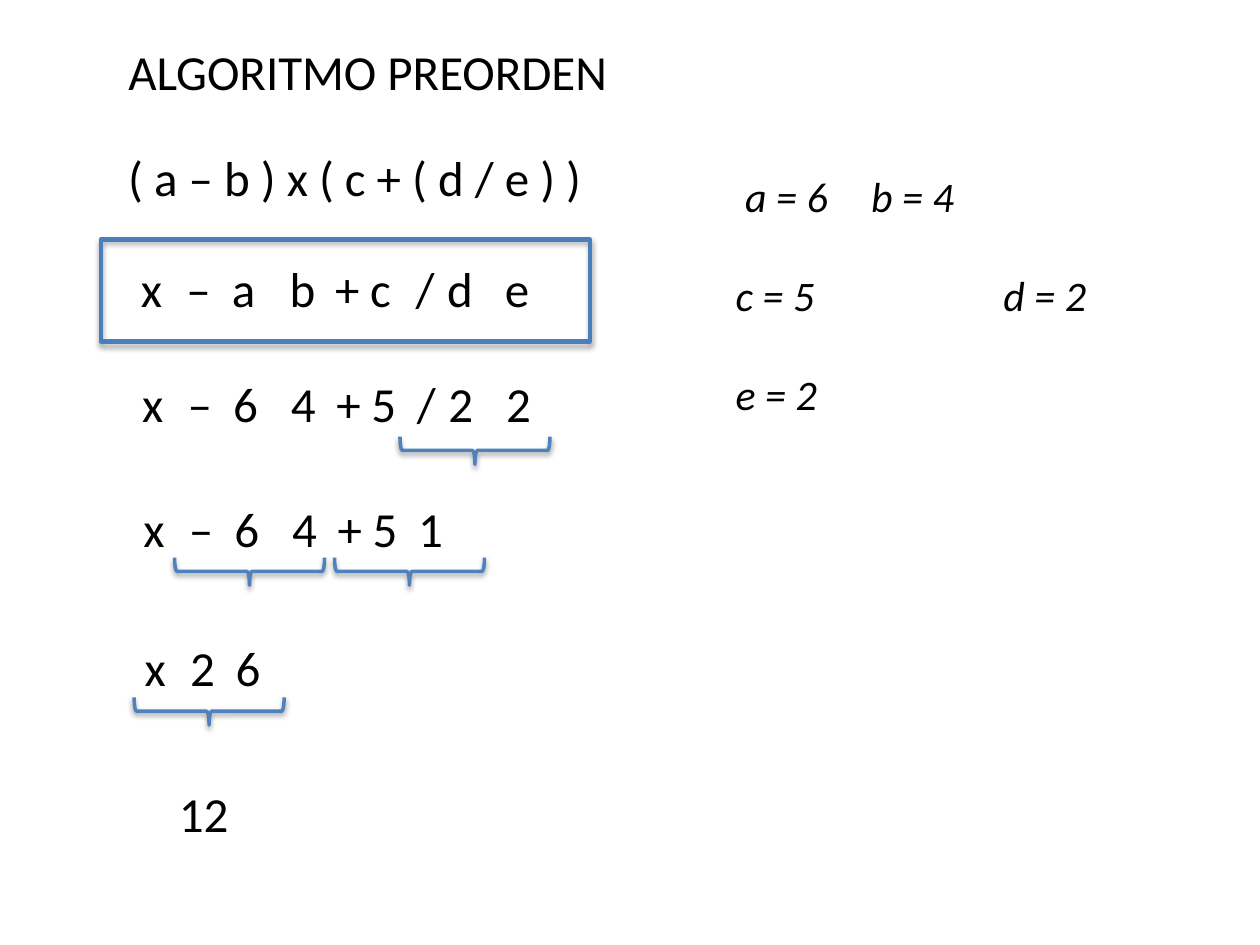
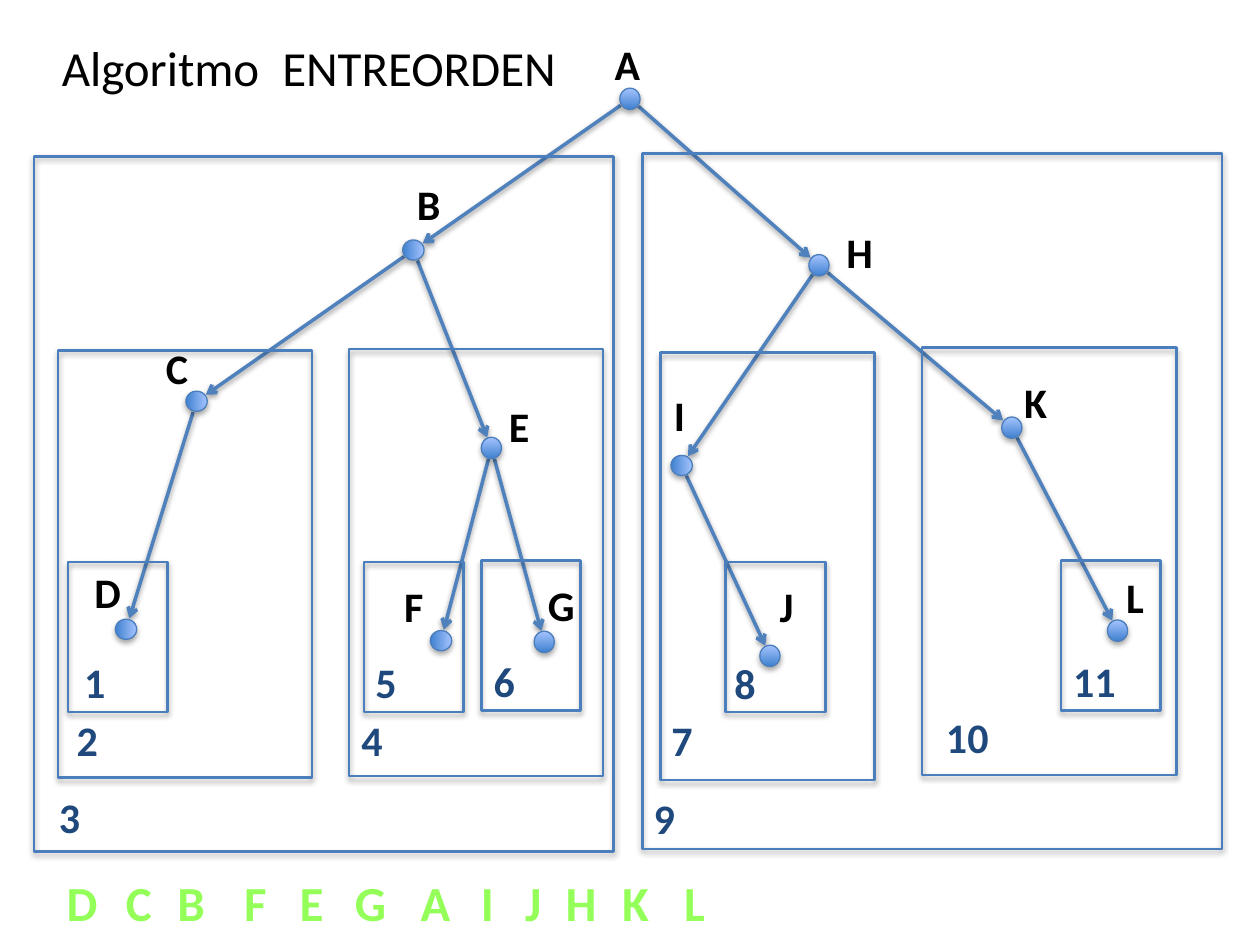
from math import hypot

from lxml.etree import SubElement
from pptx import Presentation
from pptx.dml.color import RGBColor
from pptx.enum.shapes import MSO_CONNECTOR, MSO_SHAPE
from pptx.enum.text import MSO_ANCHOR, MSO_AUTO_SIZE, PP_ALIGN
from pptx.oxml.ns import qn
from pptx.util import Pt

FONT = "Calibri"
BLACK = RGBColor(0x00, 0x00, 0x00)
NAVY = RGBColor(0x1F, 0x49, 0x7D)
GREEN = RGBColor(0x94, 0xFF, 0x58)
LINE_BLUE = RGBColor(0x4F, 0x81, 0xBD)
EDGE_BLUE = RGBColor(0x4B, 0x7E, 0xBC)
NODE_DARK = RGBColor(0x3F, 0x80, 0xCE)
NODE_LIGHT = RGBColor(0xA4, 0xC4, 0xFF)

LARGE, MEDIUM = 28, 24
LARGE_HEIGHT = 41
LABEL_SIZE = (48.2, 36)

# Preorder slide: each step is text, left, top, indent
INFIX = ("( a – b ) x ( c + ( d / e ) )", 66.2, 80.6)
STEPS = [
    ("x\t–\ta\tb\t+\tc\t/\td\te", 73.4, 144, 0),
    ("x\t–\t6\t4\t+\t5\t/\t2\t2", 74.2, 210.2, 0),
    ("x\t–\t6\t4\t+\t5\t1", 74.9, 281.5, 0),
    ("x\t2\t6", 75.6, 360.7, 0),
    ("12", 75.6, 444.2, 19.5),
]
STEP_TABS = [26, 52, 85, 111, 131, 157, 175, 208]
PREFIX_FRAME = (57.6, 136.8, 279.4, 58.3)
BRACE_CENTERS = [(271.4, 257.4), (142.6, 326.5), (234, 326.5), (119.5, 406.4)]
BRACE_SIZE = (15.8, 85.7)
# Text, indent, tab stop
VALUES = [("a = 6\tb = 4", 5.4, 139.6), ("c = 5\td = 2", 0, 153), ("e = 2", 0, 153)]
VALUES_AREA = (413.3, 93.6, 227.5, 152.6)

# Inorder slide: centre, label position, turned
NODES = {
    "A": ((360, 56.5), (344.2, 18.7), False),
    "B": ((236.2, 142.9), (231.1, 98.6), True),
    "C": ((112.3, 229.3), (87.8, 192.2), True),
    "D": ((72, 359.6), (46.8, 320.4), True),
    "E": ((280.8, 256), (283.7, 225.4), False),
    "F": ((252, 366.1), (223.9, 328.3), True),
    "G": ((311, 366.8), (306, 327.6), False),
    "H": ((468, 151.6), (476.6, 126), False),
    "I": ((389.5, 266), (378, 218.9), True),
    "J": ((440, 374.8), (438.5, 328.3), False),
    "K": ((578.2, 244.4), (578.2, 211.7), False),
    "L": ((638.6, 360.4), (636.5, 323.3), False),
}
BRANCHES = ["AB", "AH", "BC", "BE", "CD", "EF", "EG", "HI", "HK", "IJ", "KL"]
NODE_SIZE = (11.5, 12.2)
NODE_RADIUS = 6.5

LEAF, BRANCH, HALF = (56.9, 85.7), (145.2, 244.1), (331.2, 397.4)
# Position, size, number position
SUBTREES = {
    "1": ((38.9, 321.1), LEAF, (41, 371.5)),
    "2": ((33.1, 200.2), BRANCH, (36.7, 404.6)),
    "3": ((19.4, 89.3), HALF, (26.6, 448.6)),
    "4": ((199.4, 199.4), BRANCH, (199.4, 404.6)),
    "5": ((208.1, 321.1), LEAF, (207.4, 371.5)),
    "6": ((275, 320.4), LEAF, (275, 370.8)),
    "7": ((377.3, 201.6), (122.4, 244.1), (376.6, 404.6)),
    "8": ((414.7, 321.1), LEAF, (412.6, 372.2)),
    "9": ((367.2, 87.8), HALF, (366.5, 449.3)),
    "10": ((527, 198.7), BRANCH, (533.5, 403.2)),
    "11": ((606.2, 320.4), LEAF, (606.2, 370.8)),
}
VISITS = {
    "D": 31, "C": 64.8, "B": 94.3, "F": 132.5, "E": 164.2, "G": 195.8,
    "A": 233.3, "I": 267.8, "J": 293, "H": 316.1, "K": 348.5, "L": 383.8,
}
VISITS_TOP = 495


def points(values):
    return [Pt(value) for value in values]


def format_paragraph(paragraph, size, color=BLACK, bold=False, italic=False,
                     tabs=(), indent=0):
    properties = paragraph._p.get_or_add_pPr()
    if indent:
        properties.set("marL", str(Pt(indent)))
        properties.set("indent", "0")
    if tabs:
        tab_list = SubElement(properties, qn("a:tabLst"))
        for position in tabs:
            SubElement(tab_list, qn("a:tab"), pos=str(Pt(position)), algn="l")
    paragraph.alignment = PP_ALIGN.LEFT
    font = paragraph.font
    font.name, font.size, font.bold, font.italic = FONT, Pt(size), bold, italic
    font.color.rgb = color


def add_text(slide, text, area, size, **style):
    frame = slide.shapes.add_textbox(*points(area)).text_frame
    frame.word_wrap = True
    frame.text = text
    format_paragraph(frame.paragraphs[0], size, **style)
    return frame


def add_title_slide(presentation, text, area, tabs=()):
    slide = presentation.slides.add_slide(presentation.slide_layouts[5])
    title = slide.shapes.title
    title.left, title.top, title.width, title.height = points(area)
    frame = title.text_frame
    frame.text = text
    frame.vertical_anchor = MSO_ANCHOR.TOP
    frame.auto_size = MSO_AUTO_SIZE.NONE
    format_paragraph(frame.paragraphs[0], LARGE, tabs=tabs)
    return slide


def set_line(shape, color, width, distance=1.81, opacity=35):
    """Colour the line and cast a soft shadow straight down."""
    shape.line.color.rgb = color
    shape.line.width = Pt(width)
    effects = SubElement(shape._element.spPr, qn("a:effectLst"))
    shadow = SubElement(effects, qn("a:outerShdw"), blurRad=str(Pt(3.15)),
                        dist=str(Pt(distance)), dir="5400000", rotWithShape="0")
    shadow_color = SubElement(shadow, qn("a:srgbClr"), val="000000")
    SubElement(shadow_color, qn("a:alpha"), val=str(opacity * 1000))


def set_thin_line(shape):
    set_line(shape, LINE_BLUE, 2, distance=1.57, opacity=38)


def add_frame(slide, area, width):
    frame = slide.shapes.add_shape(MSO_SHAPE.RECTANGLE, *points(area))
    frame.fill.background()
    set_line(frame, EDGE_BLUE, width)


def add_centered(slide, kind, center, size):
    corner = [middle - length / 2 for middle, length in zip(center, size)]
    return slide.shapes.add_shape(kind, *points((*corner, *size)))


def add_brace(slide, center):
    brace = add_centered(slide, MSO_SHAPE.LEFT_BRACE, center, BRACE_SIZE)
    brace.rotation = 270
    brace.fill.background()
    set_thin_line(brace)


def add_node(slide, center, turned):
    node = add_centered(slide, MSO_SHAPE.OVAL, center, NODE_SIZE)
    node.rotation = 90 if turned else 0
    node.fill.gradient()
    node.fill.gradient_angle = 90
    for stop, color in zip(node.fill.gradient_stops, (NODE_DARK, NODE_LIGHT)):
        stop.color.rgb = color
    set_line(node, EDGE_BLUE, 0.75)


def add_branch(slide, parent, child):
    """Draw an arrow between the rims of two nodes."""
    (x1, y1), (x2, y2) = NODES[parent][0], NODES[child][0]
    share = NODE_RADIUS / hypot(x2 - x1, y2 - y1)
    dx, dy = (x2 - x1) * share, (y2 - y1) * share
    arrow = slide.shapes.add_connector(
        MSO_CONNECTOR.STRAIGHT, *points((x1 + dx, y1 + dy, x2 - dx, y2 - dy)))
    set_thin_line(arrow)
    SubElement(arrow.line._get_or_add_ln(), qn("a:tailEnd"), type="arrow")


def build_preorder(presentation):
    slide = add_title_slide(presentation, "ALGORITMO PREORDEN",
                            (66.2, 20.2, 355.7, LARGE_HEIGHT))
    infix, left, top = INFIX
    add_text(slide, infix, (left, top, 355.7, LARGE_HEIGHT), LARGE)
    for text, left, top, indent in STEPS:
        add_text(slide, text, (left, top, 278.6, LARGE_HEIGHT), LARGE,
                 tabs=STEP_TABS, indent=indent)
    add_frame(slide, PREFIX_FRAME, 2.5)
    for center in BRACE_CENTERS:
        add_brace(slide, center)

    text, indent, tab = VALUES[0]
    frame = add_text(slide, text, VALUES_AREA, MEDIUM, italic=True,
                     tabs=[tab], indent=indent)
    for text, indent, tab in VALUES[1:]:
        paragraph = frame.add_paragraph()
        paragraph.text = text
        format_paragraph(paragraph, MEDIUM, italic=True, tabs=[tab], indent=indent)
        paragraph.space_before = Pt(28)


def build_inorder(presentation):
    slide = add_title_slide(presentation, "Algoritmo\tENTREORDEN",
                            (28.1, 18, 344.2, LARGE_HEIGHT), tabs=[126])
    for parent, child in BRANCHES:
        add_branch(slide, parent, child)
    for name, (center, label, turned) in NODES.items():
        add_node(slide, center, turned)
        add_text(slide, name, (*label, *LABEL_SIZE), MEDIUM, bold=True)
    for number, (corner, size, label) in SUBTREES.items():
        add_frame(slide, (*corner, *size), 1.5)
        add_text(slide, number, (*label, *LABEL_SIZE), MEDIUM, color=NAVY, bold=True)
    for name, left in VISITS.items():
        add_text(slide, name, (left, VISITS_TOP, 31, LARGE_HEIGHT), LARGE,
                 color=GREEN, bold=True)


def main():
    presentation = Presentation()
    presentation.slide_width, presentation.slide_height = Pt(720), Pt(540)
    build_preorder(presentation)
    build_inorder(presentation)
    presentation.save("out.pptx")


if __name__ == "__main__":
    main()
